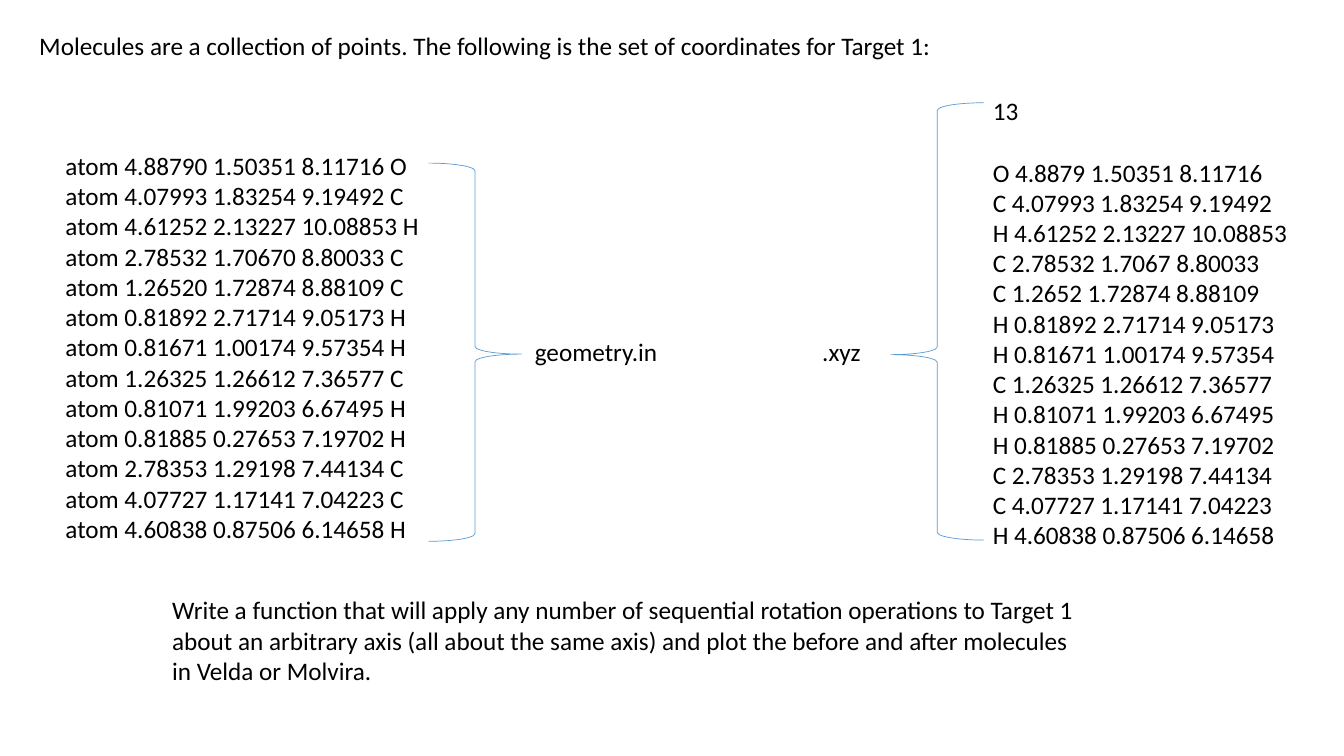
from dataclasses import dataclass

from pptx import Presentation
from pptx.dml.color import RGBColor as Rgb
from pptx.enum.shapes import MSO_SHAPE as Geo
from pptx.enum.text import MSO_AUTO_SIZE as Fit
from pptx.util import Cm, Pt


@dataclass(frozen=True)
class Theme:
    font: str = "Calibri"
    size: Pt = Pt(18)
    ink: Rgb = Rgb(0, 0, 0)
    edge: Rgb = Rgb(0x5B, 0x9B, 0xD5)
    width: Pt = Pt(0.5)
    gap: Pt = Pt(22)  # one line of body text


THEME = Theme()

INTRO = ("Molecules are a collection of points. "
         "The following is the set of coordinates for Target 1:")
TASK = ("Write a function that will apply any number of sequential rotation "
        "operations to Target 1 about an arbitrary axis (all about the same axis) "
        "and plot the before and after molecules in Velda or Molvira.")

# Coordinates and element of each atom
ATOMS = [
    ("4.88790", "1.50351", "8.11716", "O"),
    ("4.07993", "1.83254", "9.19492", "C"),
    ("4.61252", "2.13227", "10.08853", "H"),
    ("2.78532", "1.70670", "8.80033", "C"),
    ("1.26520", "1.72874", "8.88109", "C"),
    ("0.81892", "2.71714", "9.05173", "H"),
    ("0.81671", "1.00174", "9.57354", "H"),
    ("1.26325", "1.26612", "7.36577", "C"),
    ("0.81071", "1.99203", "6.67495", "H"),
    ("0.81885", "0.27653", "7.19702", "H"),
    ("2.78353", "1.29198", "7.44134", "C"),
    ("4.07727", "1.17141", "7.04223", "C"),
    ("4.60838", "0.87506", "6.14658", "H"),
]


def style(item, form):
    for name, value in form.items():
        setattr(item, name, value)


def place(box):
    return [Cm(side) for side in box]


def add_text(slide, box, lines):
    """Add a text box with one paragraph a line; return its paragraphs."""
    frame = slide.shapes.add_textbox(*place(box)).text_frame
    style(frame, {"word_wrap": True, "auto_size": Fit.SHAPE_TO_FIT_TEXT})
    frame.text = "\n".join(lines)
    for para in frame.paragraphs:
        style(para.runs[0].font, {"name": THEME.font, "size": THEME.size})
        para.runs[0].font.color.rgb = THEME.ink
    return frame.paragraphs


def add_brace(slide, box, tip, turn=0):
    """Add a thin brace whose point sits at the given share of its height."""
    brace = slide.shapes.add_shape(Geo.LEFT_BRACE, *place(box))
    brace.adjustments[0] = 0.083
    brace.adjustments[1] = tip
    brace.rotation = turn
    brace.shadow.inherit = False
    brace.fill.background()
    brace.line.color.rgb = THEME.edge
    brace.line.width = THEME.width


def main():
    deck = Presentation()
    style(deck, {"slide_width": Cm(33.87), "slide_height": Cm(19.05)})
    slide = deck.slides.add_slide(deck.slide_layouts[6])

    # Introduction and task
    add_text(slide, (0.74, 0.64, 31.55, 1.02), [INTRO])
    add_text(slide, (4.09, 14.86, 23.29, 2.57), [TASK])

    # Atoms as geometry.in
    rows = [" ".join(("atom", *atom)) for atom in ATOMS]
    add_text(slide, (1.4, 3.66, 10.08, 10.26), rows)
    add_brace(slide, (10.8, 4.11, 2.34, 9.53), 0.495, 180)
    add_text(slide, (13.23, 8.36, 4.72, 1.02), ["geometry.in"])

    # Atoms as .xyz: count, gap, then rows without trailing zeros
    rows = [" ".join((kind, *(str(float(num)) for num in point)))
            for *point, kind in ATOMS]
    paras = add_text(slide, (24.77, 2.29, 8.26, 12.57), [str(len(ATOMS)), *rows])
    paras[1].space_before = THEME.gap
    add_brace(slide, (22.45, 2.59, 2.34, 11.02), 0.576)
    add_text(slide, (20.47, 8.36, 1.85, 1.02), [".xyz"])

    deck.save("out.pptx")


if __name__ == "__main__":
    main()
